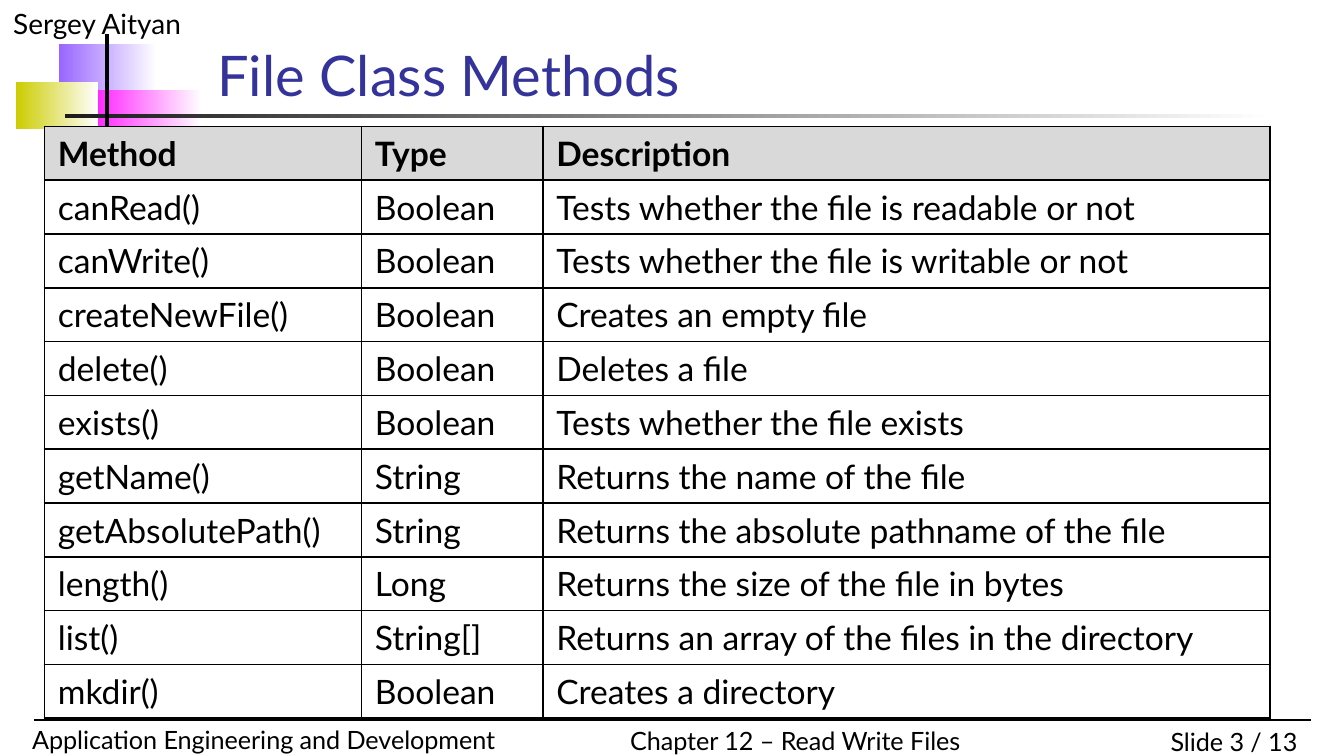
from dataclasses import dataclass

from lxml import etree
from pptx import Presentation
from pptx.dml.color import RGBColor
from pptx.enum import shapes, text
from pptx.oxml import ns
from pptx.util import Cm, Pt


@dataclass(frozen=True)
class Theme:
    font: str = "Lato"
    black: str = "000000"
    white: str = "FFFFFF"
    title: str = "333399"
    header: str = "D9D9D9"
    bar: str = "1C1C1C"
    violet: str = "9966FF"
    magenta: str = "FF00FF"
    olive: str = "CCCC00"
    title_size: float = 30
    table_size: float = 18
    author_size: float = 15
    footer_size: float = 13.5


theme = Theme()


def style(paragraph, size, color=theme.black, bold=False):
    font = paragraph.font
    font.name, font.size, font.bold = theme.font, Pt(size), bold
    font.color.rgb = RGBColor.from_string(color)


def border(cell):
    """Draw a thin black line on all four sides of a cell."""
    properties = cell._tc.get_or_add_tcPr()
    for position, side in enumerate(("lnL", "lnR", "lnT", "lnB")):
        line = etree.Element(ns.qn(f"a:{side}"), w=str(Pt(1)))
        fill = etree.SubElement(line, ns.qn("a:solidFill"))
        etree.SubElement(fill, ns.qn("a:srgbClr"), val=theme.black)
        properties.insert(position, line)


prs = Presentation()
prs.slide_width, prs.slide_height = Cm(25.4), Cm(14.29)
slide = prs.slides.add_slide(prs.slide_layouts[6])

# Fading blocks and the bar under the title
for left, top, width, height, color in (
    (1.12, 0.84, 1.85, 0.99, theme.violet),
    (1.45, 1.7, 2.36, 0.99, theme.magenta),
    (0.3, 1.55, 1.55, 0.89, theme.olive),
    (1.22, 2.16, 22.86, 0.08, theme.bar),
):
    block = slide.shapes.add_shape(
        shapes.MSO_SHAPE.RECTANGLE, Cm(left), Cm(top), Cm(width), Cm(height))
    block.shadow.inherit = False
    block.line.fill.background()
    block.fill.gradient()
    block.fill.gradient_angle = 0
    for stop, stop_color in zip(block.fill.gradient_stops, (color, theme.white)):
        stop.color.rgb = RGBColor.from_string(stop_color)

# Footer rule and the upright stroke beside the title
for x1, y1, x2, y2, weight in (
    (0.64, 13.61, 24.77, 13.61, 0.75),
    (2.03, 0.64, 2.03, 2.67, 2),
):
    rule = slide.shapes.add_connector(
        shapes.MSO_CONNECTOR.STRAIGHT, Cm(x1), Cm(y1), Cm(x2), Cm(y2))
    rule.line.color.rgb = RGBColor.from_string(theme.black)
    rule.line.width = Pt(weight)
    etree.SubElement(rule._element.spPr, ns.qn("a:effectLst"))

# Title, author and footers
left_align, right_align = text.PP_ALIGN.LEFT, text.PP_ALIGN.RIGHT
top_anchor, bottom_anchor = text.MSO_ANCHOR.TOP, text.MSO_ANCHOR.BOTTOM
for words, left, top, width, height, size, color, align, anchor, wrap in (
    ("Sergey Aityan", 0, 0, 6.35, 0.89,
     theme.author_size, theme.black, left_align, top_anchor, True),
    ("Slide 3 / 13", 20.96, 13.61, 3.81, 0.84,
     theme.footer_size, theme.black, right_align, top_anchor, True),
    ("Application Engineering and Development", 0.36, 13.56, 9.4, 0.84,
     theme.footer_size, theme.black, left_align, top_anchor, True),
    ("Chapter 12 – Read Write Files", 11.66, 13.59, 6.86, 0.84,
     theme.footer_size, theme.black, left_align, top_anchor, False),
    ("File Class Methods", 3.86, 0.79, 18.67, 1.37,
     theme.title_size, theme.title, left_align, bottom_anchor, True),
):
    label = slide.shapes.add_textbox(Cm(left), Cm(top), Cm(width), Cm(height))
    frame = label.text_frame
    frame.word_wrap = wrap
    frame.vertical_anchor = anchor
    frame.text = words
    frame.paragraphs[0].alignment = align
    style(frame.paragraphs[0], size, color)

# Method table
methods = (
    ("Method", "Type", "Description"),
    ("canRead()", "Boolean", "Tests whether the file is readable or not"),
    ("canWrite()", "Boolean", "Tests whether the file is writable or not"),
    ("createNewFile()", "Boolean", "Creates an empty file"),
    ("delete()", "Boolean", "Deletes a file"),
    ("exists()", "Boolean", "Tests whether the file exists"),
    ("getName()", "String", "Returns the name of the file"),
    ("getAbsolutePath()", "String", "Returns the absolute pathname of the file"),
    ("length()", "Long", "Returns the size of the file in bytes"),
    ("list()", "String[]", "Returns an array of the files in the directory"),
    ("mkdir()", "Boolean", "Creates a directory"),
)
column_widths = (5.99, 3.43, 13.74)
row_height = 1.01
table = slide.shapes.add_table(
    len(methods), len(column_widths), Cm(0.84), Cm(2.39),
    Cm(sum(column_widths)), Cm(row_height * len(methods))).table
table.horz_banding = False
for column, width in zip(table.columns, column_widths):
    column.width = Cm(width)
for row_index, entries in enumerate(methods):
    is_header = row_index == 0
    table.rows[row_index].height = Cm(row_height)
    for column_index, entry in enumerate(entries):
        cell = table.cell(row_index, column_index)
        cell.text = entry
        cell.vertical_anchor = text.MSO_ANCHOR.MIDDLE
        style(cell.text_frame.paragraphs[0], theme.table_size, bold=is_header)
        if is_header:
            cell.fill.solid()
            cell.fill.fore_color.rgb = RGBColor.from_string(theme.header)
        else:
            cell.fill.background()
        border(cell)

prs.save("out.pptx")
